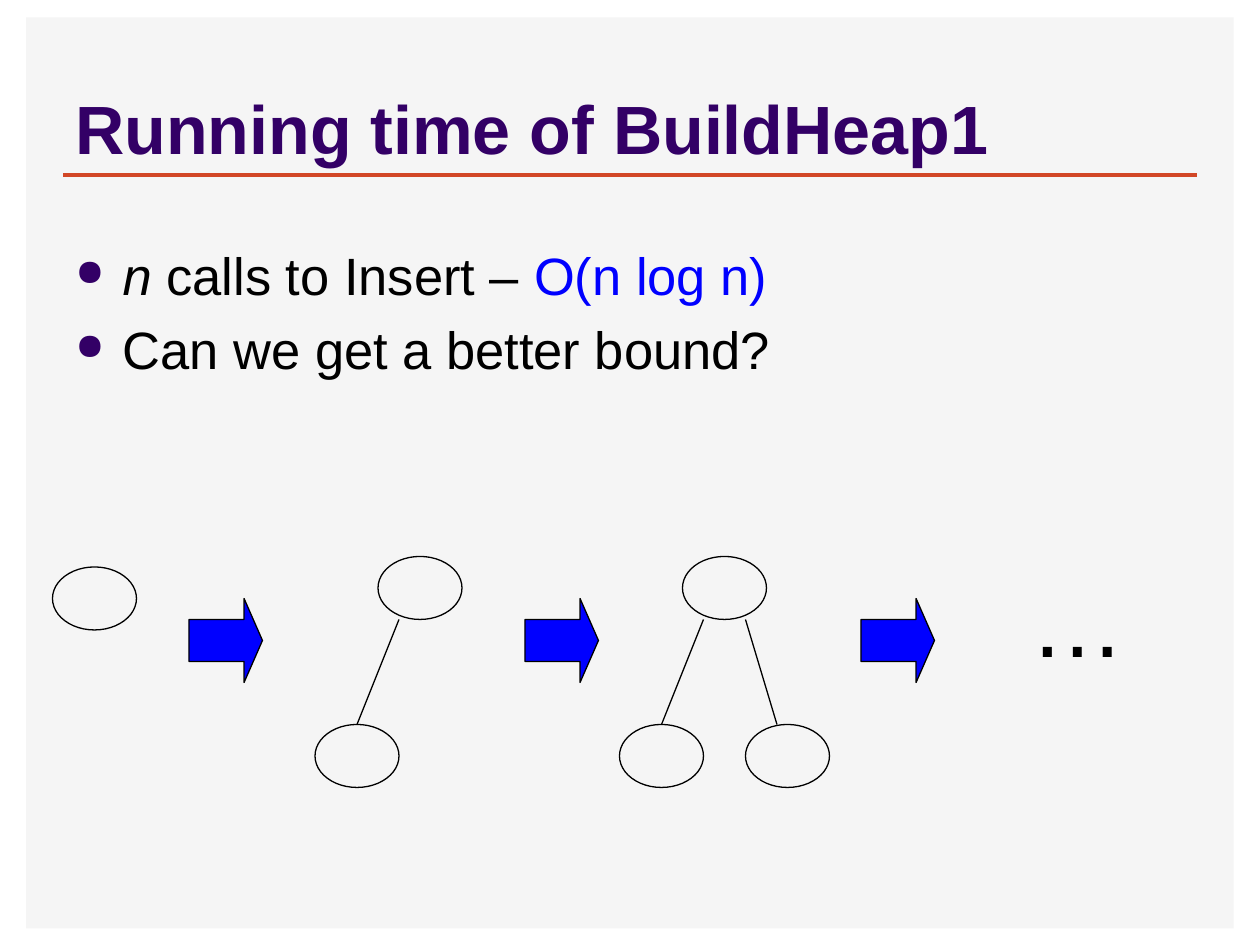
"""Build the slide on the running time of BuildHeap1."""
from typing import NamedTuple, Optional

from lxml import etree
from pptx import Presentation
from pptx.dml.color import RGBColor
from pptx.enum import shapes, text
from pptx.oxml import ns
from pptx.util import Pt

PANEL = RGBColor(0xF5, 0xF5, 0xF5)
RULE = RGBColor(0xD2, 0x47, 0x26)
PURPLE = RGBColor(0x33, 0x00, 0x66)
BLACK = RGBColor(0, 0, 0)
BLUE = RGBColor(0, 0, 0xFF)
NODE_WIDTH, NODE_HEIGHT = 48, 36
ROOT_TOP, LEAF_TOP = 318, 414


class Box(NamedTuple):
    left: float
    top: float
    width: float
    height: float


class Run(NamedTuple):
    words: str
    size: float
    color: RGBColor = BLACK
    bold: bool = False
    italic: bool = False


class Heap(NamedTuple):
    root_left: float
    has_right: bool


def lengths(box: Box) -> list:
    return [Pt(value) for value in box]


def add_solid(slide, kind, box: Box, fill: Optional[RGBColor], outlined: bool = True):
    solid = slide.shapes.add_shape(kind, *lengths(box))
    solid.shadow.inherit = False
    if fill is None:
        solid.fill.background()
    else:
        solid.fill.solid()
        solid.fill.fore_color.rgb = fill
    if outlined:
        solid.line.color.rgb = BLACK
        solid.line.width = Pt(0.75)
    else:
        solid.line.fill.background()
    return solid


def add_line(slide, start: tuple, end: tuple, color: RGBColor = BLACK, width: float = 0.75):
    line = slide.shapes.add_connector(
        shapes.MSO_CONNECTOR.STRAIGHT, *(Pt(value) for value in start + end))
    line.line.color.rgb = color
    line.line.width = Pt(width)
    etree.SubElement(line._element.spPr, ns.qn("a:effectLst"))
    return line


def add_bullet(paragraph) -> None:
    properties = paragraph._p.get_or_add_pPr()
    properties.set("marL", str(Pt(27)))
    properties.set("indent", str(Pt(-27)))
    color = etree.SubElement(properties, ns.qn("a:buClr"))
    etree.SubElement(color, ns.qn("a:srgbClr"), val=str(PURPLE))
    etree.SubElement(properties, ns.qn("a:buSzPct"), val="70000")
    etree.SubElement(properties, ns.qn("a:buChar"), char="●")


def add_text(slide, box: Box, paragraphs: list[list[Run]], before: float = 0,
             bulleted: bool = False, anchor=text.MSO_ANCHOR.TOP) -> None:
    frame = slide.shapes.add_textbox(*lengths(box)).text_frame
    frame.word_wrap = True
    frame.vertical_anchor = anchor
    for index, runs in enumerate(paragraphs):
        paragraph = frame.add_paragraph() if index else frame.paragraphs[0]
        paragraph.space_before = Pt(before)
        if bulleted:
            add_bullet(paragraph)
        for part in runs:
            run = paragraph.add_run()
            run.text = part.words
            run.font.name = "Arial"
            run.font.size = Pt(part.size)
            run.font.color.rgb = part.color
            run.font.bold = part.bold
            run.font.italic = part.italic


def add_node(slide, left: float, top: float):
    return add_solid(slide, shapes.MSO_SHAPE.OVAL, Box(left, top, NODE_WIDTH, NODE_HEIGHT), None)


def add_heap(slide, heap: Heap) -> None:
    root = heap.root_left
    root_bottom = ROOT_TOP + NODE_HEIGHT
    add_node(slide, root, ROOT_TOP)
    left_child = add_node(slide, root - 36, LEAF_TOP)
    left_edge = add_line(slide, (root + 12, root_bottom), (root - 12, LEAF_TOP))
    left_edge.end_connect(left_child, 0)
    if heap.has_right:
        add_node(slide, root + 36, LEAF_TOP)
        add_line(slide, (root + 36, root_bottom), (root + 54, LEAF_TOP))


def add_step_arrow(slide, left: float) -> None:
    arrow = add_solid(slide, shapes.MSO_SHAPE.RIGHT_ARROW, Box(left, 342, 42, 48), BLUE)
    arrow.adjustments[0] = 0.5
    arrow.adjustments[1] = 0.25


def main() -> None:
    deck = Presentation()
    deck.slide_width, deck.slide_height = Pt(720), Pt(540)
    slide = deck.slides.add_slide(deck.slide_layouts[6])

    add_solid(slide, shapes.MSO_SHAPE.RECTANGLE, Box(15, 10, 690, 520.5), PANEL, outlined=False)
    add_line(slide, (36, 100), (684, 100), RULE, 2)
    add_text(slide, Box(36, 9.5, 648, 90),
             [[Run("Running time of BuildHeap1", 39, PURPLE, bold=True)]],
             anchor=text.MSO_ANCHOR.BOTTOM)
    add_text(slide, Box(36, 135.5, 648, 347),
             [[Run("n", 30, italic=True), Run(" calls to Insert – ", 30),
               Run("O(n log n)", 30, BLUE)],
              [Run("Can we get a better bound?", 30)]],
             before=6, bulleted=True)

    add_node(slide, 30, 324)
    for heap in (Heap(216, False), Heap(390, True)):
        add_heap(slide, heap)
    for step in range(3):
        add_step_arrow(slide, 108 + 192 * step)
    add_text(slide, Box(582, 318, 78, 72), [[Run("…", 54)]], before=5)
    deck.save("out.pptx")


if __name__ == "__main__":
    main()
